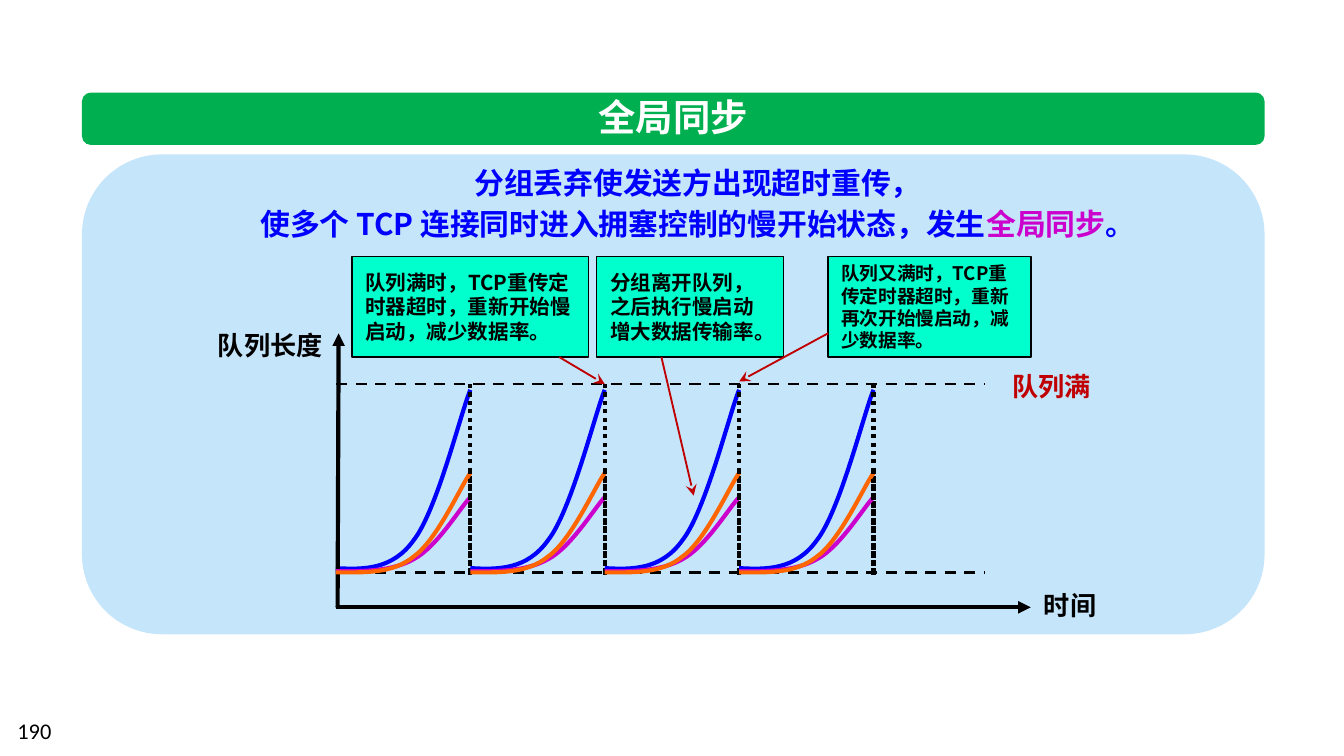
"""Build the slide on TCP global synchronization with its queue length chart."""
from dataclasses import dataclass

from lxml import etree
from pptx import Presentation
from pptx.dml.color import RGBColor
from pptx.enum.dml import MSO_LINE
from pptx.enum.shapes import MSO_CONNECTOR, MSO_SHAPE
from pptx.enum.text import MSO_ANCHOR, MSO_AUTO_SIZE, PP_ALIGN
from pptx.oxml.ns import qn
from pptx.util import Cm, Pt

STRAIGHT = MSO_CONNECTOR.STRAIGHT
RECTANGLE, ROUNDED = MSO_SHAPE.RECTANGLE, MSO_SHAPE.ROUNDED_RECTANGLE
DASH, DOT = MSO_LINE.DASH, MSO_LINE.ROUND_DOT
TOP, MIDDLE = MSO_ANCHOR.TOP, MSO_ANCHOR.MIDDLE
LEFT, CENTER, RIGHT = PP_ALIGN.LEFT, PP_ALIGN.CENTER, PP_ALIGN.RIGHT
NO_AUTOFIT = MSO_AUTO_SIZE.NONE

BLACK = RGBColor(0x00, 0x00, 0x00)
WHITE = RGBColor(0xFF, 0xFF, 0xFF)
GREEN = RGBColor(0x00, 0xB0, 0x50)
PALE_BLUE = RGBColor(0xC5, 0xE5, 0xFB)
MINT = RGBColor(0x00, 0xFF, 0xCC)
BLUE = RGBColor(0x00, 0x00, 0xFF)
MAGENTA = RGBColor(0xCC, 0x00, 0xCC)
ORANGE = RGBColor(0xFF, 0x66, 0x00)
RED = RGBColor(0xC0, 0x00, 0x00)

CHINESE_FONT = "Noto Sans CJK SC"
NUMBER_FONT = "Calibri"
ORIGIN_X, PERIOD, CYCLES = 6.35, 2.54, 4
FULL_Y, BASE_Y = 7.26, 10.82
CURVE_X = (0, 0.53, 1.07, 1.47, 1.91, 2.36, 2.54)


@dataclass(frozen=True)
class Label:
    text: str
    left: float
    top: float
    width: float
    align: PP_ALIGN
    color: RGBColor


@dataclass(frozen=True)
class Callout:
    text: str
    left: float
    width: float
    size: int


@dataclass(frozen=True)
class Line:
    start: tuple[float, float]
    end: tuple[float, float]
    color: RGBColor
    width: float
    dash: MSO_LINE | None = None
    head: str | None = None


@dataclass(frozen=True)
class Wave:
    color: RGBColor
    heights: tuple[float, ...]
    drop_top: float
    drop_bottom: float


LABELS = (
    Label("队列长度", 2.54, 6.12, 3.81, RIGHT, BLACK),
    Label("时间", 19.48, 11.05, 2.34, LEFT, BLACK),
    Label("队列满", 18.88, 6.91, 3.81, LEFT, RED),
)
CALLOUTS = (
    Callout("队列满时，TCP重传定时器超时，重新开始慢启动，减少数据率。", 6.65, 4.47, 11),
    Callout("分组离开队列，之后执行慢启动增大数据传输率。", 11.28, 3.53, 11),
    Callout("队列又满时，TCP重传定时器超时，重新再次开始慢启动，减少数据率。", 15.65, 3.84, 10),
)
GUIDES = tuple(
    Line((ORIGIN_X, y), (18.62, y), BLACK, 1.5, dash=DASH) for y in (FULL_Y, BASE_Y)
)
AXES = (
    Line((ORIGIN_X, 11.48), (19.48, 11.48), BLACK, 2.25, head="triangle"),
    Line((6.38, 11.48), (6.4, 6.3), BLACK, 2.25, head="triangle"),
)
POINTERS = (
    Line((10.57, 6.75), (11.43, 7.26), RED, 1, head="stealth"),
    Line((12.5, 6.75), (13.11, 9.37), RED, 1, head="stealth"),
    Line((15.65, 6.3), (13.97, 7.21), RED, 1, head="stealth"),
)
WAVES = (
    Wave(BLUE, (10.74, 10.77, 10.77, 10.21, 9.65, 7.8, 7.37), FULL_Y, 10.85),
    Wave(MAGENTA, (10.8, 10.8, 10.8, 10.57, 10.34, 9.58, 9.4), 9.35, 10.82),
    Wave(ORANGE, (10.82, 10.82, 10.85, 10.52, 10.21, 9.19, 8.94), 8.89, 10.87),
)


def add_span(para, text: str, size: float, color: RGBColor,
             bold: bool = True, font: str = CHINESE_FONT) -> None:
    span = para.add_run()
    span.text = text
    span.font.size, span.font.bold, span.font.name = Pt(size), bold, font
    span.font.color.rgb = color
    etree.SubElement(span.font._element, qn("a:ea")).set("typeface", font)


def add_box(page, left: float, top: float, width: float, height: float, anchor=TOP):
    box = page.shapes.add_textbox(Cm(left), Cm(top), Cm(width), Cm(height))
    box.text_frame.word_wrap = True
    box.text_frame.vertical_anchor = anchor
    return box


def add_block(page, kind, left: float, top: float, width: float, height: float,
              color: RGBColor):
    block = page.shapes.add_shape(kind, Cm(left), Cm(top), Cm(width), Cm(height))
    block.shadow.inherit = False
    block.fill.solid()
    block.fill.fore_color.rgb = color
    block.line.fill.background()
    return block


def add_line(shapes, line: Line) -> None:
    connector = shapes.add_connector(
        STRAIGHT, *(Cm(value) for value in (*line.start, *line.end)))
    connector.line.color.rgb = line.color
    connector.line.width = Pt(line.width)
    if line.dash is not None:
        connector.line.dash_style = line.dash
    if line.head is not None:
        outline = connector.line._get_or_add_ln()
        etree.SubElement(outline, qn("a:tailEnd")).set("type", line.head)
    etree.SubElement(connector.element.spPr, qn("a:effectLst"))


def bend_segments(curve) -> None:
    outline = next(curve.element.iter(qn("a:path")))
    segments = outline.findall(qn("a:lnTo"))
    for first in range(0, len(segments), 3):
        bend = etree.SubElement(outline, qn("a:cubicBezTo"))
        for segment in segments[first:first + 3]:
            bend.append(segment[0])
            outline.remove(segment)


def add_wave(page, wave: Wave) -> None:
    group = page.shapes.add_group_shape()
    for cycle in range(CYCLES):
        left = ORIGIN_X + cycle * PERIOD
        points = [(Cm(left + x), Cm(y)) for x, y in zip(CURVE_X, wave.heights)]
        builder = group.shapes.build_freeform(*points[0])
        builder.add_line_segments(points[1:], close=False)
        curve = builder.convert_to_shape()
        bend_segments(curve)
        curve.shadow.inherit = False
        curve.fill.background()
        curve.line.color.rgb = wave.color
        curve.line.width = Pt(2.25)
        right = left + PERIOD
        add_line(group.shapes, Line((right, wave.drop_top), (right, wave.drop_bottom),
                                    BLACK, 2.25, dash=DOT))


def add_title(page) -> None:
    title = page.shapes.title
    title.left, title.top, title.width, title.height = Cm(11.05), Cm(1.65), Cm(3.35), Cm(1.12)
    frame = title.text_frame
    frame.word_wrap, frame.auto_size, frame.vertical_anchor = False, NO_AUTOFIT, MIDDLE
    frame.paragraphs[0].alignment = CENTER
    add_span(frame.paragraphs[0], "全局同步", 20, WHITE)
    page.shapes.element.append(title.element)


def add_statement(page) -> None:
    frame = add_box(page, 2.98, 2.87, 20.42, 1.83, MIDDLE).text_frame
    rows = (
        (("分组丢弃使发送方出现超时重传，", BLUE),),
        (("使多个 TCP 连接同时进入拥塞控制的慢开始状态，发生", BLUE),
         ("全局同步", MAGENTA), ("。", BLUE)),
    )
    for index, row in enumerate(rows):
        para = frame.add_paragraph() if index else frame.paragraphs[0]
        para.alignment, para.line_spacing = CENTER, Pt(22)
        for text, color in row:
            add_span(para, text, 16, color)


def add_label(page, label: Label) -> None:
    frame = add_box(page, label.left, label.top, label.width, 0.84).text_frame
    frame.margin_top = Cm(0.1)
    frame.paragraphs[0].alignment = label.align
    add_span(frame.paragraphs[0], label.text, 14, label.color)


def add_callout(page, callout: Callout) -> None:
    block = add_block(page, RECTANGLE, callout.left, 4.85, callout.width, 1.9, MINT)
    block.line.color.rgb = BLACK
    block.line.width = Pt(0.75)
    frame = block.text_frame
    frame.word_wrap, frame.vertical_anchor = True, MIDDLE
    frame.paragraphs[0].alignment = LEFT
    add_span(frame.paragraphs[0], callout.text, callout.size, BLACK)


def main() -> None:
    deck = Presentation()
    deck.slide_width, deck.slide_height = Cm(25.4), Cm(14.29)
    page = deck.slides.add_slide(deck.slide_layouts[5])
    add_block(page, ROUNDED, 1.55, 2.92, 22.35, 9.07, PALE_BLUE)
    add_block(page, ROUNDED, 1.55, 1.75, 22.35, 0.99, GREEN)
    add_title(page)
    add_statement(page)
    for guide in GUIDES:
        add_line(page.shapes, guide)
    for label in LABELS:
        add_label(page, label)
    add_wave(page, WAVES[0])
    for callout in CALLOUTS:
        add_callout(page, callout)
    for line in POINTERS + AXES:
        add_line(page.shapes, line)
    for wave in WAVES[1:]:
        add_wave(page, wave)
    number = add_box(page, 0.08, 13.44, 5.92, 0.76)
    add_span(number.text_frame.paragraphs[0], "190", 12, BLACK, False, NUMBER_FONT)
    deck.save("out.pptx")


if __name__ == "__main__":
    main()
